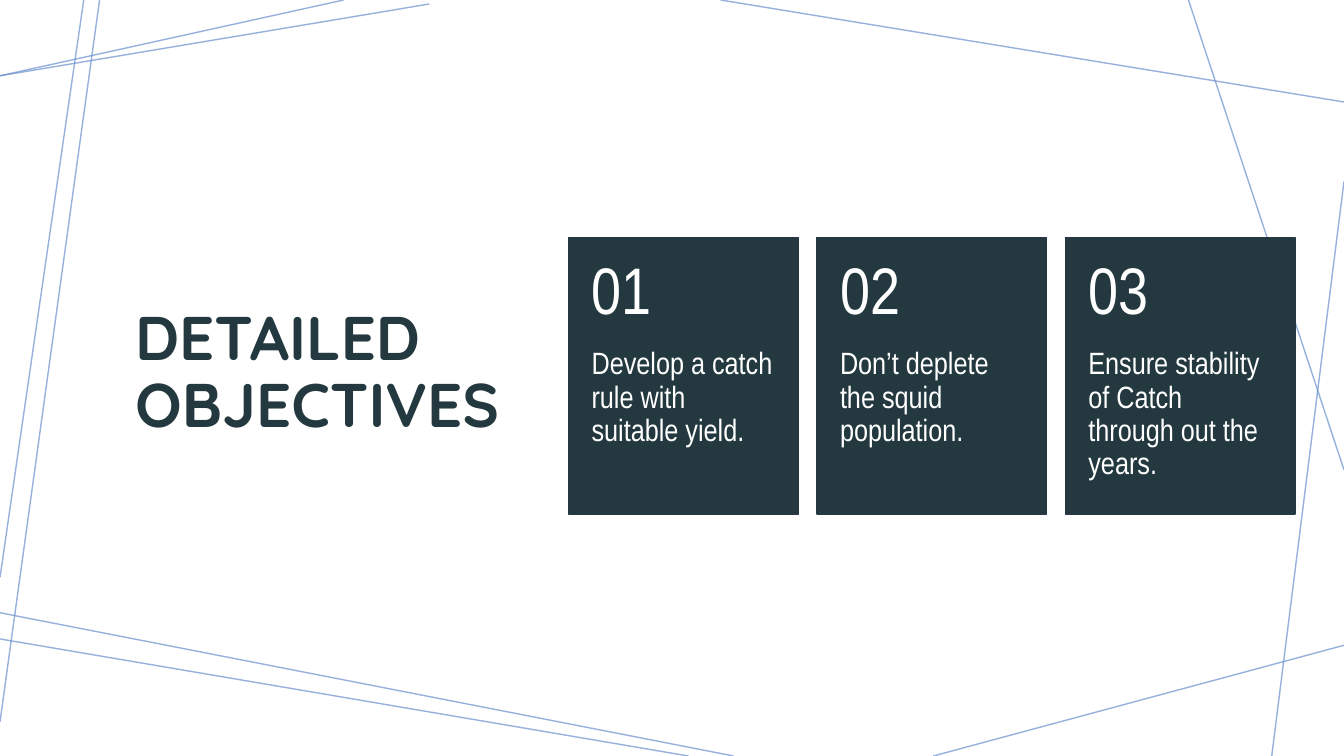
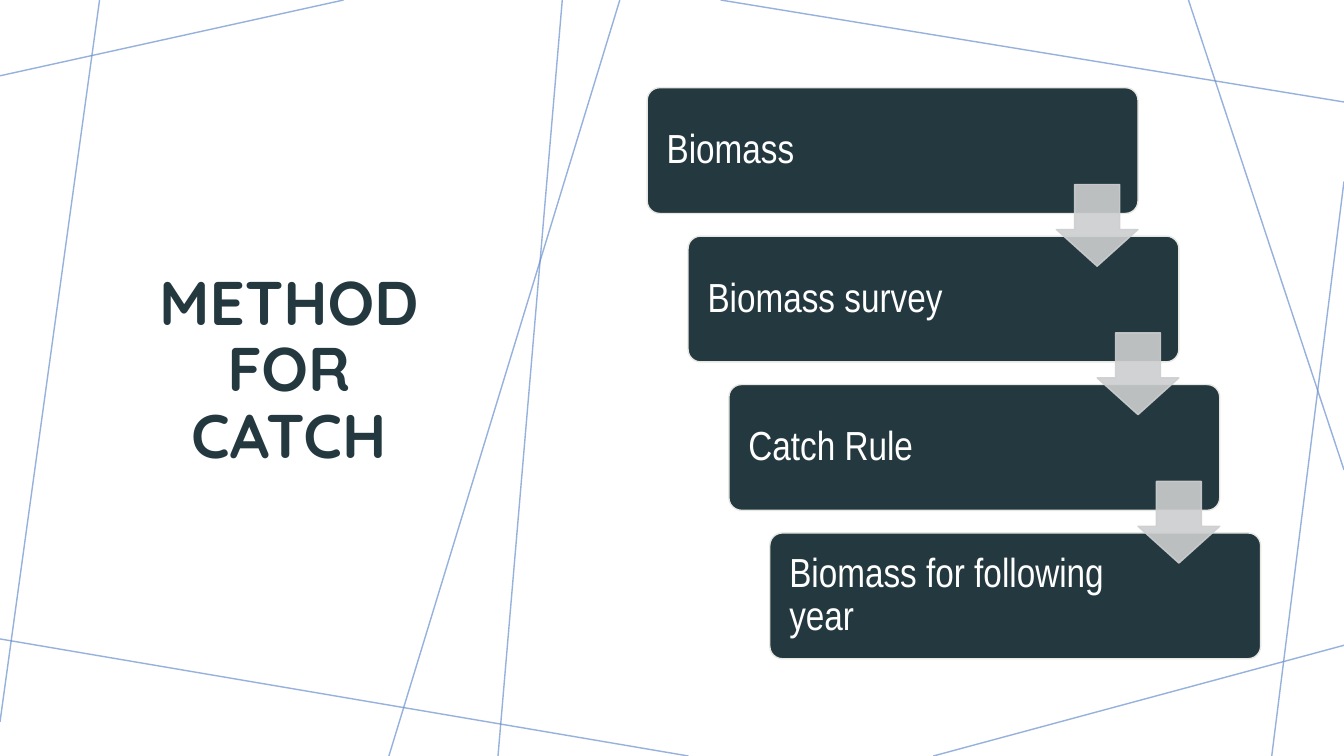
from lxml.etree import SubElement
from pptx import Presentation
from pptx.dml.color import RGBColor
from pptx.enum.shapes import MSO_CONNECTOR, MSO_SHAPE
from pptx.enum.text import MSO_ANCHOR, MSO_AUTO_SIZE, PP_ALIGN
from pptx.oxml.ns import qn
from pptx.util import Cm, Pt

COLORS = {
    "dark": "24393F",
    "white": "FFFFFF",
    "line": "6A90CE",
    "edge": "E8E8E2",
    "arrow": "CDCECF",
}
HEAD, BODY = "Quicksand", "Arial Narrow"
WIDE, HIGH = 33.87, 19.05

# Lines in centimetres: x1, y1, x2, y2
FRAME = [
    (8.66, 0, 0, 1.91),
    (2.51, 0, 0, 18.19),
    (17.35, HIGH, 0, 16.1),
    (WIDE, 16.26, 23.52, HIGH),
    (WIDE, 4.57, 32.05, HIGH),
    (WIDE, 11.84, 29.95, 0),
    (WIDE, 2.57, 18.16, 0),
]
GOALS_LINES = [
    (10.82, 0.1, 0, 1.91),
    (0, 14.55, 2.11, 0),
    (0, 15.44, 18.49, HIGH),
]
STEPS_LINES = [(15.62, 0, 9.8, HIGH), (14.17, 0, 12.55, HIGH)]

GOALS = [
    "Develop a catch rule with suitable yield.",
    "Don’t deplete the squid population.",
    "Ensure stability of Catch through out the years.",
]
STEPS = ["Biomass", "Biomass survey", "Catch Rule", "Biomass for following year"]


def color(name):
    return RGBColor.from_string(COLORS[name])


def fade(shape, percent):
    """Set the opacity of the shape's fill and line."""
    for tint in shape.element.spPr.iter(qn("a:srgbClr")):
        SubElement(tint, qn("a:alpha"), val=str(percent * 1000))


def add_line(slide, ends):
    line = slide.shapes.add_connector(MSO_CONNECTOR.STRAIGHT, *map(Cm, ends))
    line.line.color.rgb = color("line")
    line.line.width = Pt(1)
    fade(line, 70)
    SubElement(line.element.spPr, qn("a:effectLst"))
    return line


def add_frame(slide, layout):
    """Draw the shared lines and hand them over to the layout."""
    for index, ends in enumerate(FRAME):
        item = add_line(slide, ends).element
        item.nvCxnSpPr.cNvPr.set("id", str(100 + index))
        layout.shapes.element.append(item)


def add_box(slide, kind, box, fill, edge):
    shape = slide.shapes.add_shape(kind, *map(Cm, box))
    shape.shadow.inherit = False
    shape.fill.solid()
    shape.fill.fore_color.rgb = color(fill)
    shape.line.color.rgb = color(edge)
    shape.line.width = Pt(1)
    return shape


def add_run(para, text, size, font=BODY, tint="white", bold=False):
    run = para.add_run()
    run.text = text
    run.font.name = font
    run.font.size = Pt(size)
    run.font.bold = bold
    run.font.color.rgb = color(tint)


def set_text(shape, text, size, insets, anchor=MSO_ANCHOR.MIDDLE):
    """Fill the shape with text; insets are left, top, right, bottom."""
    frame = shape.text_frame
    frame.word_wrap = True
    frame.vertical_anchor = anchor
    (frame.margin_left, frame.margin_top,
     frame.margin_right, frame.margin_bottom) = map(Cm, insets)
    para = frame.paragraphs[0]
    para.alignment = PP_ALIGN.LEFT
    para.line_spacing = 0.9
    add_run(para, text, size)


def set_title(slide, lines, box, align):
    title = slide.shapes.title
    title.left, title.top, title.width, title.height = map(Cm, box)
    frame = title.text_frame
    frame.word_wrap = True
    frame.auto_size = MSO_AUTO_SIZE.NONE
    frame.vertical_anchor = MSO_ANCHOR.MIDDLE
    para = frame.paragraphs[0]
    para.alignment = align
    para.line_spacing = 0.9
    for index, text in enumerate(lines):
        if index:
            para.add_line_break()
        add_run(para, text, 44, HEAD, "dark", True)


def add_cards(slide):
    left, top, width, height = 14.33, 5.99, 5.79, 6.96
    step, head, pad = 6.26, 2.79, 0.58
    for index, goal in enumerate(GOALS):
        x = left + index * step
        card = add_box(slide, MSO_SHAPE.RECTANGLE, (x, top, width, height),
                       "dark", "dark")
        set_text(card, goal, 22, (pad, head, pad, 0.91), MSO_ANCHOR.TOP)
        label = slide.shapes.add_textbox(*map(Cm, (x, top, width, head)))
        set_text(label, f"{index + 1:02}", 47, (pad, 0.46, pad, 0.46))


def add_steps(slide):
    left, top, width, height = 16.31, 2.21, 12.37, 3.17
    shift, drop = 1.03, 3.74
    size, lower = 2.06, 2.44
    spots = [(left + i * shift, top + i * drop) for i in range(len(STEPS))]
    for (x, y), text in zip(spots, STEPS):
        step = add_box(slide, MSO_SHAPE.ROUNDED_RECTANGLE,
                       (x, y, width, height), "dark", "edge")
        step.adjustments[0] = 0.1
        set_text(step, text, 29, (0.4, 0.4, 3.7, 0.4))
    for x, y in spots[:-1]:
        arrow = add_box(slide, MSO_SHAPE.DOWN_ARROW,
                        (x + width - size, y + lower, size, size),
                        "arrow", "arrow")
        arrow.adjustments[0] = 0.55
        arrow.adjustments[1] = 0.45
        fade(arrow, 90)


def add_slide(deck, layout, lines):
    slide = deck.slides.add_slide(layout)
    for ends in lines:
        add_line(slide, ends)
    return slide


def main():
    deck = Presentation()
    deck.slide_width, deck.slide_height = Cm(WIDE), Cm(HIGH)
    layout = deck.slide_layouts[5]

    goals = add_slide(deck, layout, GOALS_LINES)
    add_frame(goals, layout)
    set_title(goals, ["DETAILED OBJECTIVES"], (3.15, 2.39, 10.97, 14.07),
              PP_ALIGN.LEFT)
    add_cards(goals)

    steps = add_slide(deck, layout, STEPS_LINES)
    set_title(steps, ["METHOD FOR", "CATCH"], (2.2, 2.51, 10.16, 13.72),
              PP_ALIGN.CENTER)
    add_steps(steps)

    deck.save("out.pptx")


if __name__ == "__main__":
    main()
